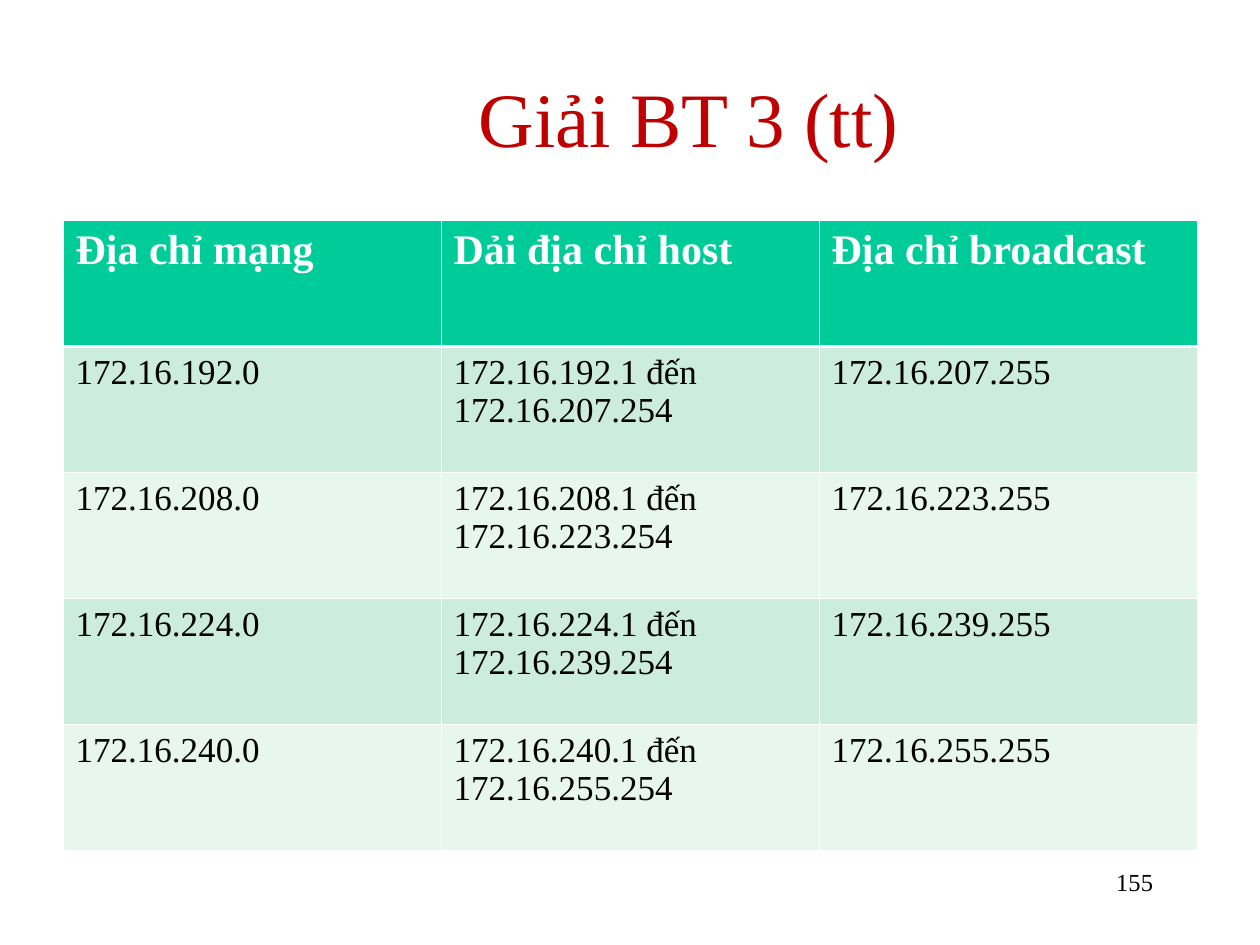
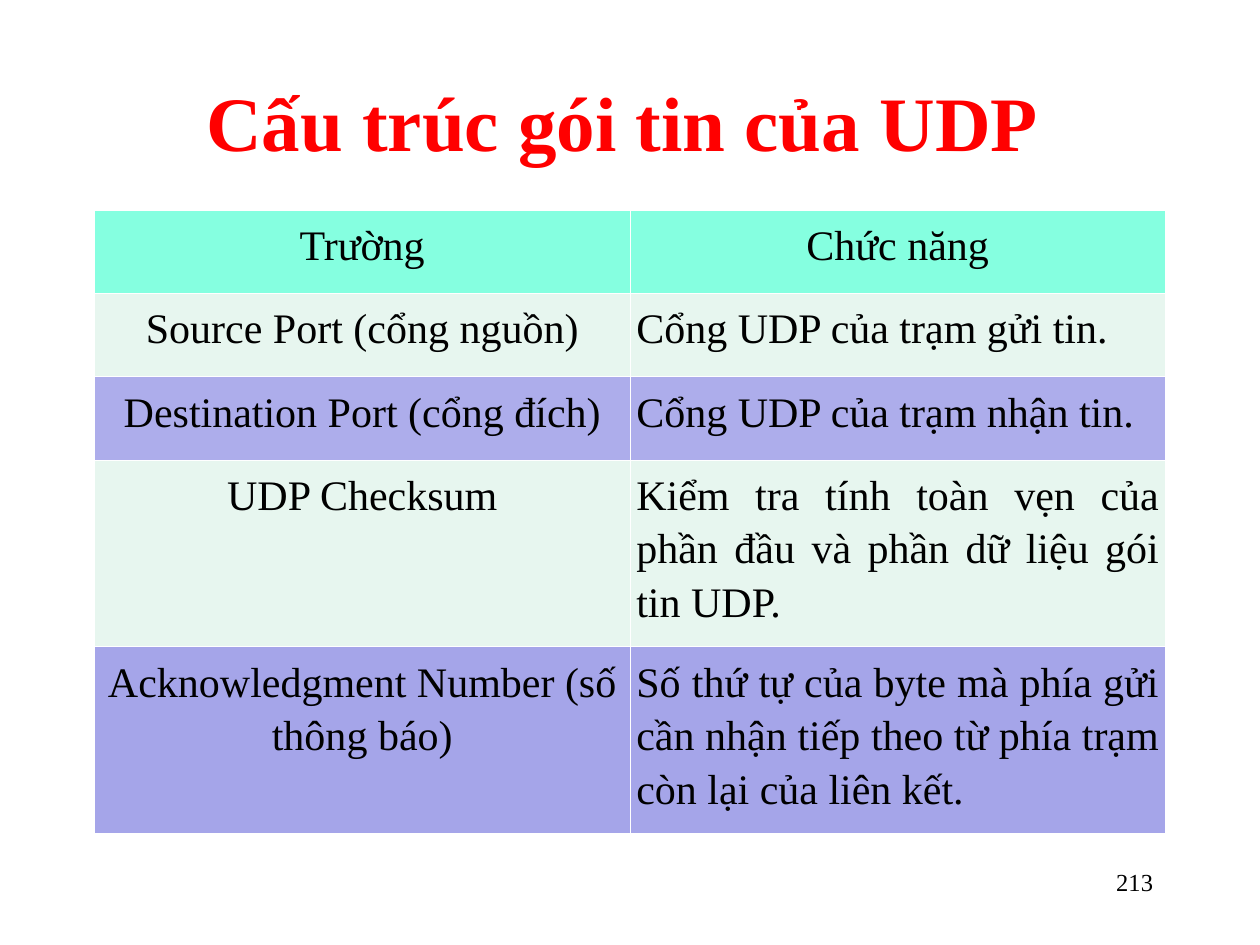
import pptx
import pptx.util
import pptx.dml.color
import pptx.enum.text
import pptx.oxml
import pptx.oxml.ns

Pt = pptx.util.Pt
ALIGN = pptx.enum.text.PP_ALIGN
ANCHOR = pptx.enum.text.MSO_ANCHOR

COLORS = {
    "text": "000000",
    "white": "FFFFFF",
    "dark_red": "C00000",
    "red": "FF0000",
    "green": "00CC99",
    "mint": "CBECDE",
    "pale": "E7F6EF",
    "aqua": "85FFE0",
    "lilac": "ADADEB",
    "violet": "A5A5E9",
}
FONT = "Times New Roman"
THIN, THICK = 0.45, 1.47

SUBNETS = [
    ("Địa chỉ mạng", "Dải địa chỉ host", "Địa chỉ broadcast"),
    ("172.16.192.0", "172.16.192.1 đến 172.16.207.254", "172.16.207.255"),
    ("172.16.208.0", "172.16.208.1 đến 172.16.223.254", "172.16.223.255"),
    ("172.16.224.0", "172.16.224.1 đến 172.16.239.254", "172.16.239.255"),
    ("172.16.240.0", "172.16.240.1 đến 172.16.255.254", "172.16.255.255"),
]
UDP_FIELDS = [
    ("Trường", "Chức năng"),
    ("Source Port (cổng nguồn)", "Cổng UDP của trạm gửi tin."),
    ("Destination Port (cổng đích)", "Cổng UDP của trạm nhận tin."),
    ("UDP Checksum",
     "Kiểm tra tính toàn vẹn của phần đầu và phần dữ liệu gói tin UDP."),
    ("Acknowledgment Number (số thông báo)",
     "Số thứ tự của byte mà phía gửi cần nhận tiếp theo từ phía trạm còn lại của liên kết."),
]


def set_attributes(target, values):
    for name, value in values.items():
        setattr(target, name, value)


def write_text(frame, text, size, color, bold=False, align=ALIGN.LEFT, spacing=1.0):
    para = frame.paragraphs[0]
    set_attributes(para, {"alignment": align, "line_spacing": spacing})
    span = para.add_run()
    span.text = text
    set_attributes(span.font, {"name": FONT, "size": Pt(size), "bold": bold})
    span.font.color.rgb = pptx.dml.color.RGBColor.from_string(COLORS[color])


def add_text(page, place, text, size, color, align, bold=False, anchor=ANCHOR.TOP):
    box = page.shapes.add_textbox(*map(Pt, place))
    set_attributes(box.text_frame, {"word_wrap": True, "vertical_anchor": anchor})
    write_text(box.text_frame, text, size, color, bold, align)


def add_title(page, place, text, color, bold=False):
    add_text(page, place, text, 44, color, ALIGN.CENTER, bold, ANCHOR.MIDDLE)


def add_page_number(page, number):
    add_text(page, (516, 492, 150, 36), str(number), 14, "text", ALIGN.RIGHT)


def set_borders(cell, top, bottom):
    properties = cell._tc.get_or_add_tcPr()
    widths = {"lnL": THIN, "lnR": THIN, "lnT": top, "lnB": bottom}
    for index, (side, width) in enumerate(widths.items()):
        line = pptx.oxml.parse_xml(
            f'<a:{side} {pptx.oxml.ns.nsdecls("a")} w="{Pt(width)}"><a:solidFill>'
            f'<a:srgbClr val="{COLORS["white"]}"/></a:solidFill></a:{side}>')
        properties.insert(index, line)


def add_grid(page, place, rows, heights, fills, margin, text_format, header_rule=THIN):
    width = place[2]
    frame = page.shapes.add_table(len(rows), len(rows[0]), *map(Pt, place))
    table = frame.table
    for column in table.columns:
        column.width = Pt(width / len(rows[0]))
    margins = {"margin_left": Pt(margin), "margin_right": Pt(margin),
               "margin_top": Pt(3.6), "margin_bottom": Pt(3.6)}
    for row_index, texts in enumerate(rows):
        table.rows[row_index].height = Pt(heights[row_index])
        for column_index, text in enumerate(texts):
            cell = table.cell(row_index, column_index)
            set_attributes(cell, margins)
            cell.fill.solid()
            cell.fill.fore_color.rgb = pptx.dml.color.RGBColor.from_string(
                COLORS[fills[row_index]])
            set_borders(cell, header_rule if row_index == 1 else THIN,
                        header_rule if row_index == 0 else THIN)
            write_text(cell.text_frame, text, **text_format(row_index, column_index))


def subnet_format(row, column):
    if row == 0:
        return {"size": 24, "color": "white", "bold": True}
    return {"size": 20, "color": "text"}


def udp_format(row, column):
    align = ALIGN.JUSTIFY if row and column else ALIGN.CENTER
    return {"size": 24, "color": "text", "align": align, "spacing": 1.15}


def build_subnet_page(page):
    add_title(page, (84, 21.6, 619.2, 90), "Giải BT 3 (tt)", "dark_red")
    add_grid(page, (36, 126, 648, 360), SUBNETS, [72] * 5,
             ["green"] + ["mint", "pale"] * 2, 7.2, subnet_format, THICK)
    add_page_number(page, 155)


def build_udp_page(page):
    add_page_number(page, 213)
    add_title(page, (54, 24, 612, 90), "Cấu trúc gói tin của UDP ", "red", True)
    add_grid(page, (54, 120, 612, 356.4), UDP_FIELDS, [47.6] * 3 + [106.8] * 2,
             ["aqua", "pale", "lilac", "pale", "violet"], 3.6, udp_format)


def main():
    deck = pptx.Presentation()
    set_attributes(deck, {"slide_width": Pt(720), "slide_height": Pt(540)})
    for build in (build_subnet_page, build_udp_page):
        build(deck.slides.add_slide(deck.slide_layouts[6]))
    deck.save("out.pptx")


if __name__ == "__main__":
    main()
